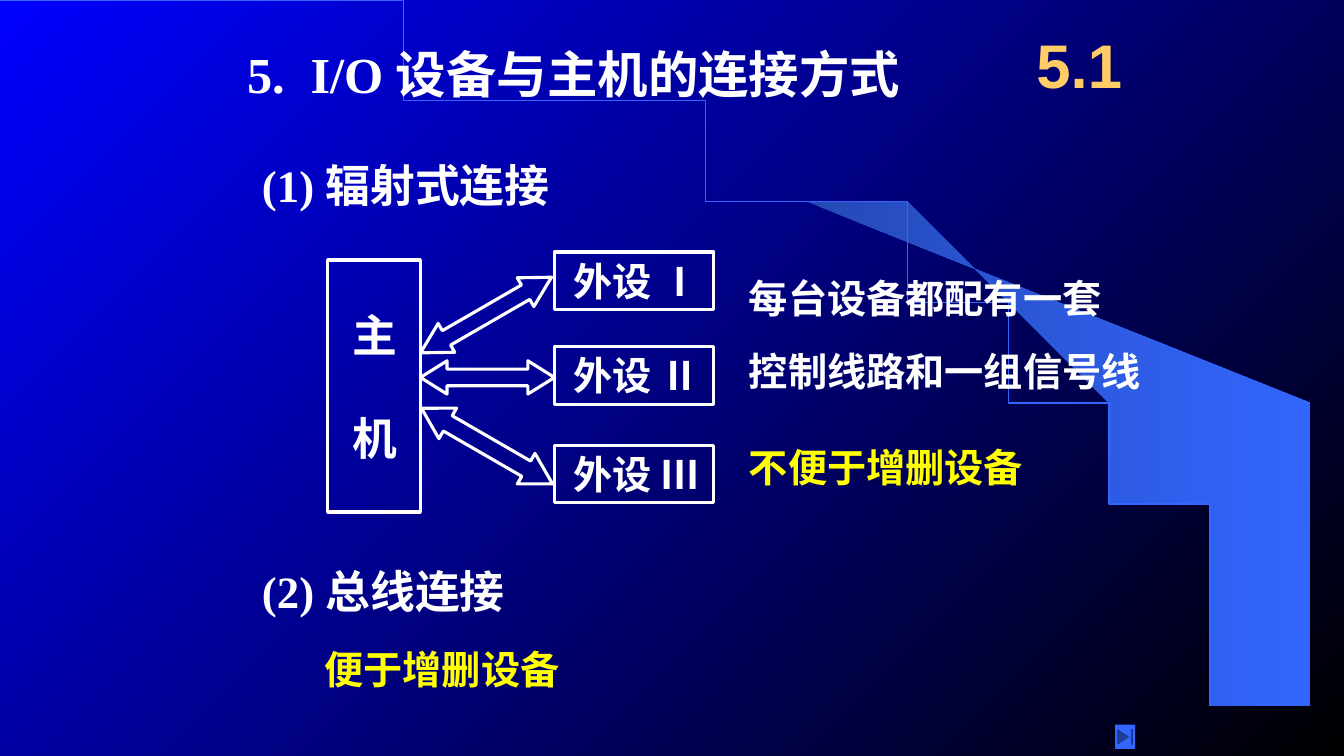
from dataclasses import dataclass

from lxml.etree import SubElement
from pptx import Presentation
from pptx.dml.color import RGBColor
from pptx.enum.shapes import MSO_SHAPE
from pptx.enum.text import MSO_ANCHOR, PP_ALIGN
from pptx.oxml.ns import qn
from pptx.util import Inches, Pt


@dataclass(frozen=True)
class Theme:
    white: str = "FFFFFF"
    yellow: str = "FFFF00"
    gold: str = "FFCC66"
    blue: str = "3366FF"
    dim: str = "2449B6"
    start: str = "0000FF"
    end: str = "000000"
    serif: str = "Times New Roman"
    sans: str = "Arial"
    mark: int = 44
    title: int = 36
    head: int = 32
    body: int = 28
    line: float = 2.25
    thin: float = 1


def color(code):
    return RGBColor.from_string(code)


def write(shape, text, size, font, ink, align=PP_ALIGN.LEFT,
          anchor=MSO_ANCHOR.TOP, left=0.1, right=0.1, tab=None):
    frame = shape.text_frame
    frame.word_wrap = True
    frame.vertical_anchor = anchor
    frame.margin_left, frame.margin_right = Inches(left), Inches(right)
    frame.margin_top = frame.margin_bottom = Inches(0.05)
    frame.text = text
    para = frame.paragraphs[0]
    para.alignment = align
    if tab:
        stops = SubElement(para._p.get_or_add_pPr(), qn("a:tabLst"))
        SubElement(stops, qn("a:tab"), pos=str(Inches(tab)), algn="l")
    para.font.size = Pt(size)
    para.font.name = font
    para.font.bold = True
    para.font.color.rgb = color(ink)


class Deck:
    def __init__(self, theme):
        self.theme = theme
        self.prs = Presentation()
        self.prs.slide_width, self.prs.slide_height = Inches(13.33), Inches(7.5)
        self.slide = self.prs.slides.add_slide(self.prs.slide_layouts[5])
        self.shapes = self.slide.shapes

    def blend(self, fill, first, last, angle):
        fill.gradient()
        fill.gradient_angle = angle
        for stop, place, code in zip(fill.gradient_stops, (0, 1), (first, last)):
            stop.position = place
            stop.color.rgb = color(code)

    def title(self, text, box, **style):
        shape = self.shapes.title
        shape.left, shape.top, shape.width, shape.height = map(Inches, box)
        self.shapes._spTree.append(shape._element)  # bring to front
        write(shape, text, self.theme.title, self.theme.serif,
              self.theme.white, **style)

    def text(self, text, box, size, ink=None, font=None, **style):
        shape = self.shapes.add_textbox(*map(Inches, box))
        write(shape, text, size, font or self.theme.serif,
              ink or self.theme.white, **style)

    def shape(self, kind, box, fill=None, turn=0, tip=None):
        shape = self.shapes.add_shape(kind, *map(Inches, box))
        shape.shadow.inherit = False
        shape.rotation = turn
        if tip:
            shape.adjustments[0], shape.adjustments[1] = 0.5, tip
        if fill:
            shape.fill.solid()
            shape.fill.fore_color.rgb = color(fill)
            shape.line.fill.background()
        else:
            shape.fill.background()
            shape.line.color.rgb = color(self.theme.white)
            shape.line.width = Pt(self.theme.line)
        return shape

    def outline(self, points, close):
        pen = self.shapes.build_freeform(*points[0], scale=Inches(1))
        pen.add_line_segments(points[1:], close=close)
        shape = pen.convert_to_shape()
        shape.shadow.inherit = False
        return shape

    def tail(self, points):
        shape = self.outline(points, True)
        self.blend(shape.fill, self.theme.dim, self.theme.blue, 0)
        shape.line.fill.background()

    def curve(self, ends, steps=60):
        def spot(t):
            parts = ((1 - t) ** 3, 3 * t * (1 - t) ** 2, 3 * t * t * (1 - t), t ** 3)
            return tuple(sum(p * e[axis] for p, e in zip(parts, ends))
                         for axis in (0, 1))
        shape = self.outline([spot(i / steps) for i in range(steps + 1)], False)
        shape.fill.background()
        shape.line.color.rgb = color(self.theme.blue)
        shape.line.width = Pt(self.theme.thin)


def main():
    look = Theme()
    deck = Deck(look)

    # Backdrop with comet tail and arc
    deck.blend(deck.slide.background.fill, look.start, look.end, 315)
    deck.tail([(12.27, 7.48), (13.31, 7.49), (13.31, 4.23), (7.86, 1.73),
               (8.32, 1.99), (8.7, 2.22), (9.13, 2.5), (9.55, 2.8),
               (10.16, 3.3), (10.7, 3.84), (11.1, 4.31), (11.44, 4.79),
               (11.71, 5.28), (11.91, 5.72), (12.04, 6.09), (12.17, 6.56),
               (12.23, 6.96)])
    deck.curve([(0, 0), (6.77, 0), (12.26, 3.35), (12.26, 7.49)])

    # Title and headings
    deck.title("5.\tI/O 设备与主机的连接方式", (2.35, 0.38, 6.83, 0.7), tab=0.63)
    deck.text("(1) 辐射式连接", (2.5, 1.52, 4.25, 0.63), look.head)
    deck.text("(2) 总线连接", (2.5, 5.54, 3.92, 0.63), look.head)

    # Devices
    for label, top in (("外设 Ⅰ", 2.5), ("外设 Ⅱ", 3.44), ("外设 Ⅲ", 4.42)):
        box = deck.shape(MSO_SHAPE.RECTANGLE, (5.5, top, 1.58, 0.57))
        write(box, label, look.body, look.serif, look.white, left=0.19, right=0)

    # Host
    deck.shape(MSO_SHAPE.RECTANGLE, (3.25, 2.58, 0.92, 2.5))
    for label, top in (("主", 3), ("机", 4.03)):
        deck.text(label, (3.4, top, 0.65, 0.63), look.head)

    # Two-way arrows
    for box, turn, tip in (((4.07, 2.96, 1.5, 0.33), 150, 0.9),
                           ((4.17, 3.58, 1.33, 0.33), 0, 0.8),
                           ((4.08, 4.25, 1.5, 0.35), 30, 0.86)):
        deck.shape(MSO_SHAPE.LEFT_RIGHT_ARROW, box, turn=turn, tip=tip)

    # Remarks
    for label, box, ink in (
            ("每台设备都配有一套", (7.33, 2.67, 3.75, 0.57), look.white),
            ("控制线路和一组信号线", (7.33, 3.4, 4.15, 0.57), look.white),
            ("不便于增删设备", (7.33, 4.35, 3.42, 0.57), look.yellow),
            ("便于增删设备", (3.12, 6.35, 6.58, 0.57), look.yellow)):
        deck.text(label, box, look.body, ink)

    # Section mark and end button
    deck.text("5.1", (10.08, 0.17, 1.25, 0.92), look.mark, look.gold, look.sans,
              align=PP_ALIGN.CENTER, anchor=MSO_ANCHOR.MIDDLE)
    deck.shape(MSO_SHAPE.ACTION_BUTTON_END, (11.06, 7.19, 0.2, 0.24), look.blue)

    deck.prs.save("out.pptx")


if __name__ == "__main__":
    main()
